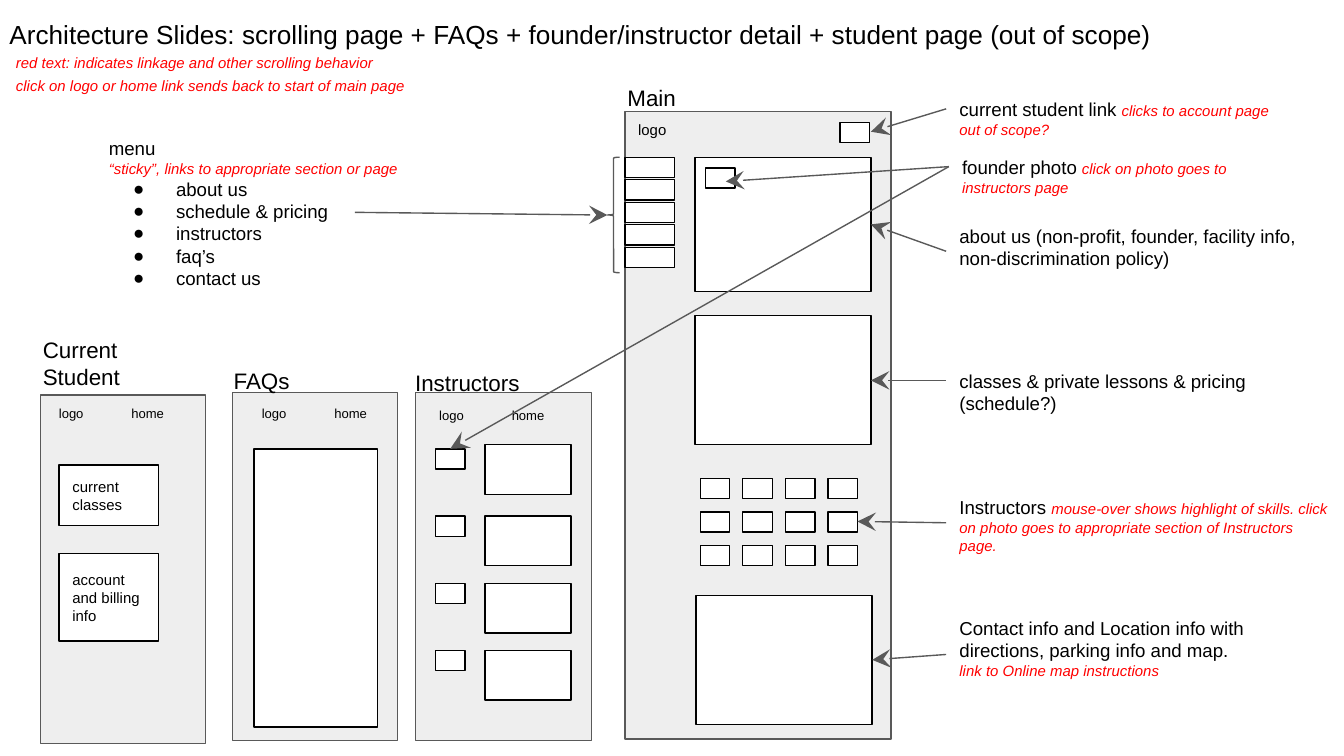
from lxml.etree import SubElement
from pptx import Presentation
from pptx.dml.color import RGBColor
from pptx.enum.shapes import MSO_CONNECTOR as Link, MSO_SHAPE as Kind
from pptx.enum.text import MSO_ANCHOR as Anchor, MSO_AUTO_SIZE as Fit, PP_ALIGN as Align
from pptx.oxml.ns import qn
from pptx.util import Inches, Pt

BLACK, RED, GRAY, PALE, WHITE = "000000", "FF0000", "595959", "EEEEEE", "FFFFFF"

TITLE = ("Architecture Slides: scrolling page + FAQs + founder/instructor detail"
         " + student page (out of scope)")
MENU = ["about us", "schedule & pricing", "instructors", "faq’s", "contact us"]
STICKY = "“sticky”, links to appropriate section or page"

# left, top, width, height, text
HINTS = [
    (0.02, 0.3, 5.09, 0.31, "red text: indicates linkage and other scrolling behavior"),
    (0.02, 0.47, 5.09, 0.31, "click on logo or home link sends back to start of main page"),
]
HEADS = [
    (4.57, 0.53, 0.98, 0.37, "Main"),
    (1.64, 2.63, 0.98, 0.37, "FAQs"),
    (2.99, 2.65, 0.98, 0.37, "Instructors"),
    (0.22, 2.4, 1.05, 0.54, "Current Student"),
]
PANELS = [(4.65, 0.83, 1.98, 4.67), (1.73, 2.92, 1.23, 2.59),
          (3.09, 2.92, 1.31, 2.59), (0.3, 2.94, 1.23, 2.59)]
NAVS = [(0.34, 2.92), (1.85, 2.92), (3.17, 2.93)]

# left, top, width, height, paragraphs of (black text, red text)
NOTES = [
    (7.04, 0.63, 2.66, 0.37,
     [("current student link ", "clicks to account page out of scope?")]),
    (7.06, 1.06, 2.66, 0.37,
     [("founder photo ", "click on photo goes to instructors page")]),
    (7.04, 1.57, 2.86, 0.59,
     [("about us (non-profit, founder, facility info, non-discrimination policy)", "")]),
    (7.04, 2.65, 2.86, 0.37,
     [("classes & private lessons & pricing (schedule?)", "")]),
    (7.04, 3.59, 2.96, 0.59,
     [("Instructors ", "mouse-over shows highlight of skills. click on photo goes to "
       "appropriate section of Instructors page.")]),
    (7.04, 4.49, 2.98, 0.76,
     [("Contact info and Location info with directions, parking info and map.", ""),
      ("", "link to Online map instructions")]),
]
SECTIONS = [(5.17, 1.17, 1.31, 1), (5.17, 2.35, 1.31, 0.96),
            (5.18, 4.43, 1.31, 0.96), (1.89, 3.34, 0.92, 2.07)]
CARDS = [(0.44, 3.46, 0.74, 0.45, "current classes"),
         (0.44, 4.12, 0.74, 0.65, "account and billing info")]
PHOTO = (0.22, 0.15)
BIOS = [3.31, 3.84, 4.34, 4.84]

# arrow tip x, y, then tail x, y
ARROWS = [
    (6.48, 0.98, 7.04, 0.81), (4.52, 1.6, 2.64, 1.58), (6.48, 1.67, 7.04, 1.87),
    (6.48, 2.83, 7.04, 2.83), (6.38, 3.88, 7.04, 3.89), (6.49, 4.91, 7.04, 4.87),
    (5.4, 1.35, 7.06, 1.24), (3.35, 3.34, 7.06, 1.24),
]


def color(code):
    return RGBColor.from_string(code)


def place(shape, box):
    shape.left, shape.top, shape.width, shape.height = map(Inches, box)


def setup(frame, anchor=Anchor.TOP):
    frame.word_wrap = True
    frame.auto_size = Fit.NONE
    frame.vertical_anchor = anchor
    frame.margin_left = frame.margin_right = Inches(0.1)
    frame.margin_top = frame.margin_bottom = Inches(0.1)


def write(para, text, size, tint=BLACK):
    """Add one run; red runs are italic."""
    run = para.add_run()
    run.text = text
    font = run.font
    font.name, font.size, font.italic = "Arial", Pt(size), tint == RED
    font.color.rgb = color(tint)


def label(box, text, size, tint=BLACK):
    frame = slide.shapes.add_textbox(*map(Inches, box)).text_frame
    setup(frame)
    write(frame.paragraphs[0], text, size, tint)


def rect(box, fill=WHITE, line=BLACK, home=None):
    shape = (home or slide).shapes.add_shape(Kind.RECTANGLE, *map(Inches, box))
    shape.shadow.inherit = False
    shape.fill.solid()
    shape.fill.fore_color.rgb = color(fill)
    shape.line.color.rgb = color(line)
    shape.line.width = Pt(0.75)
    return shape


def arrow(x1, y1, x2, y2):
    line = slide.shapes.add_connector(Link.STRAIGHT, *map(Inches, (x1, y1, x2, y2)))
    line.line.color.rgb = color(GRAY)
    line.line.width = Pt(0.75)
    outline = line._element.spPr.find(qn("a:ln"))
    SubElement(outline, qn("a:headEnd"), type="stealth", w="lg", len="lg")
    SubElement(line._element.spPr, qn("a:effectLst"))


def bullet(para, char=None):
    """Set a hanging bullet, or none."""
    props = para._p.get_or_add_pPr()
    props.set("marL", str(Inches(0.5) if char else 0))
    props.set("indent", str(Inches(-0.32) if char else 0))
    if char:
        SubElement(props, qn("a:buFont"), typeface="Arial")
        SubElement(props, qn("a:buChar"), char=char)
    else:
        SubElement(props, qn("a:buNone"))


deck = Presentation()
deck.slide_width, deck.slide_height = Inches(10), Inches(10 * 9 / 16)
slide = deck.slides.add_slide(deck.slide_layouts[1])

title, menu = slide.placeholders
place(title, (-0.03, 0.04, 9.8, 0.59))
setup(title.text_frame)
title.text_frame.paragraphs[0].alignment = Align.LEFT
write(title.text_frame.paragraphs[0], TITLE, 14)

place(menu, (0.71, 0.92, 2.45, 1.4))
setup(menu.text_frame)
rows = [("menu", 10, BLACK, None), (STICKY, 8, RED, None)]
rows += [(item, 10, BLACK, "●") for item in MENU]
for i, (text, size, tint, char) in enumerate(rows):
    para = menu.text_frame.add_paragraph() if i else menu.text_frame.paragraphs[0]
    para.space_before = Pt(0)
    bullet(para, char)
    write(para, text, size, tint)

for box in PANELS:
    rect(box, PALE, GRAY)
for box in SECTIONS:
    rect(box)
for i in range(len(MENU)):
    rect((4.65, 1.17 + i * 0.67 / 4, 0.37, 0.15))
for spot in [(6.25, 0.91), (5.25, 1.25)]:
    rect(spot + PHOTO)

team = slide.shapes.add_group_shape()
for row in range(3):
    for col in range(4):
        rect((5.21 + col * 0.95 / 3, 3.56 + row * 0.25) + PHOTO, home=team)

for i, top in enumerate(BIOS):
    rect((3.24, 3.34 + i * 0.5) + PHOTO)
    rect((3.61, top, 0.64, 0.37))

for *box, text in CARDS:
    frame = rect(box).text_frame
    setup(frame, Anchor.MIDDLE)
    frame.paragraphs[0].alignment = Align.LEFT
    write(frame.paragraphs[0], text, 8)

brace = slide.shapes.add_shape(Kind.LEFT_BRACE, *map(Inches, (4.52, 1.17, 0.09, 0.86)))
brace.shadow.inherit = False
brace.fill.background()
brace.line.color.rgb = color(GRAY)
brace.line.width = Pt(0.75)

for *box, text in HINTS:
    label(box, text, 8, RED)
for *box, text in HEADS:
    label(box, text, 12)
label((4.65, 0.8, 0.64, 0.37), "logo", 8)
for left, top in NAVS:
    label((left, top, 0.56, 0.27), "logo", 7)
    label((left + 0.54, top, 0.56, 0.27), "home", 7)

for *box, paras in NOTES:
    frame = slide.shapes.add_textbox(*map(Inches, box)).text_frame
    setup(frame)
    for i, (plain, hint) in enumerate(paras):
        para = frame.add_paragraph() if i else frame.paragraphs[0]
        if plain:
            write(para, plain, 10)
        if hint:
            write(para, hint, 8, RED)

for ends in ARROWS:
    arrow(*ends)

deck.save("out.pptx")
